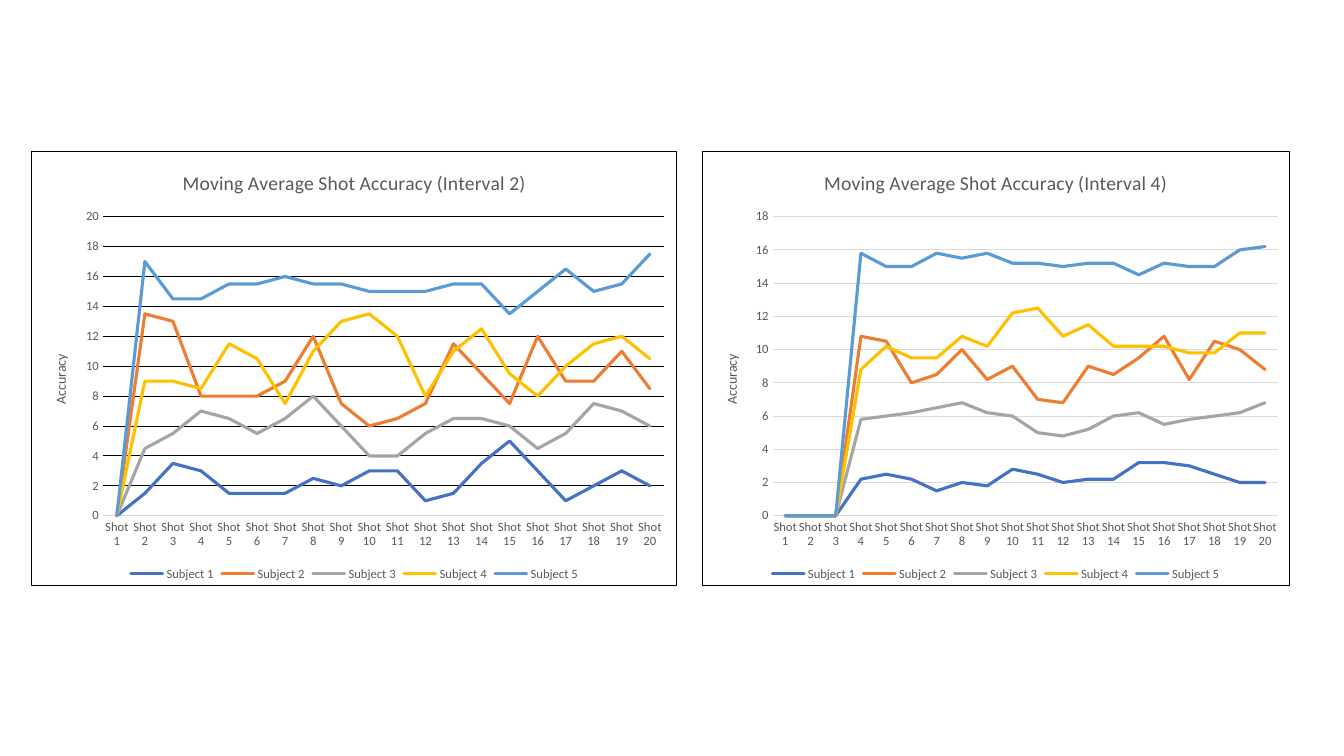
import dataclasses
import typing

import lxml.etree
import pptx
import pptx.chart.chart
import pptx.chart.data
import pptx.dml.color
import pptx.enum.chart
import pptx.oxml
import pptx.oxml.ns
import pptx.util

COLORS = {
    "text": "595959",
    "black": "000000",
    "light": "D9D9D9",
    "white": "FFFFFF",
}
SERIES_COLORS = {
    "Subject 1": "4472C4",
    "Subject 2": "ED7D31",
    "Subject 3": "A5A5A5",
    "Subject 4": "FFC000",
    "Subject 5": "5B9BD5",
}
FONT = "Calibri"
SHOTS = [f"Shot {n}" for n in range(1, 21)]
CHART_TOP, CHART_HEIGHT = 3.81, 10.95


@dataclasses.dataclass
class AccuracyChart:
    interval: int
    left: float
    width: float
    plot_x: float  # plot area, as a share of the chart width
    plot_w: float
    axis_max: int
    grid: str
    averages: list[list[float]]  # one list per subject, from the first full interval


CHARTS = [
    AccuracyChart(2, 0.79, 16.28, 0.11, 0.87, 20, "black", [
        [1.5, 3.5, 3, 1.5, 1.5, 1.5, 2.5, 2, 3, 3, 1, 1.5, 3.5, 5, 3, 1, 2, 3, 2],
        [13.5, 13, 8, 8, 8, 9, 12, 7.5, 6, 6.5, 7.5, 11.5, 9.5, 7.5, 12, 9, 9, 11, 8.5],
        [4.5, 5.5, 7, 6.5, 5.5, 6.5, 8, 6, 4, 4, 5.5, 6.5, 6.5, 6, 4.5, 5.5, 7.5, 7, 6],
        [9, 9, 8.5, 11.5, 10.5, 7.5, 11, 13, 13.5, 12, 8, 11, 12.5, 9.5, 8, 10, 11.5, 12, 10.5],
        [17, 14.5, 14.5, 15.5, 15.5, 16, 15.5, 15.5, 15, 15, 15, 15.5, 15.5, 13.5, 15, 16.5,
         15, 15.5, 17.5],
    ]),
    AccuracyChart(4, 17.68, 14.83, 0.12, 0.86, 18, "light", [
        [2.2, 2.5, 2.2, 1.5, 2, 1.8, 2.8, 2.5, 2, 2.2, 2.2, 3.2, 3.2, 3, 2.5, 2, 2],
        [10.8, 10.5, 8, 8.5, 10, 8.2, 9, 7, 6.8, 9, 8.5, 9.5, 10.8, 8.2, 10.5, 10, 8.8],
        [5.8, 6, 6.2, 6.5, 6.8, 6.2, 6, 5, 4.8, 5.2, 6, 6.2, 5.5, 5.8, 6, 6.2, 6.8],
        [8.8, 10.2, 9.5, 9.5, 10.8, 10.2, 12.2, 12.5, 10.8, 11.5, 10.2, 10.2, 10.2, 9.8, 9.8,
         11, 11],
        [15.8, 15, 15, 15.8, 15.5, 15.8, 15.2, 15.2, 15, 15.2, 15.2, 14.5, 15.2, 15, 15, 16, 16.2],
    ]),
]


def set_font(font: typing.Any, size: float) -> None:
    font.name = FONT
    font.size = pptx.util.Pt(size)
    font.bold = False
    font.color.rgb = pptx.dml.color.RGBColor.from_string(COLORS["text"])


def set_line(line: typing.Any, color: str, width: float) -> None:
    line.color.rgb = pptx.dml.color.RGBColor.from_string(color)
    line.width = pptx.util.Pt(width)


def add_title(owner: typing.Any, title: typing.Any, text: str, size: float) -> None:
    owner.has_title = True
    r = title().text_frame.paragraphs[0].add_run()
    r.text = text
    set_font(r.font, size)


def finish_xml(chart: pptx.chart.chart.Chart, spec_chart: AccuracyChart) -> None:
    space = chart._chartSpace
    # Missing averages are drawn as zero
    space.xpath("c:chart/c:dispBlanksAs")[0].set("val", "zero")

    # White background with a thin black border
    border = pptx.oxml.parse_xml(
        f'<c:spPr {pptx.oxml.ns.nsdecls("c", "a")}>'
        f'<a:solidFill><a:srgbClr val="{COLORS["white"]}"/></a:solidFill>'
        f'<a:ln w="9525"><a:solidFill><a:srgbClr val="{COLORS["black"]}"/></a:solidFill></a:ln>'
        "</c:spPr>")
    space.xpath("c:chart")[0].addnext(border)

    # Fixed inner plot area
    plot_area = space.xpath("c:chart/c:plotArea")[0]
    for old in plot_area.xpath("c:layout"):
        plot_area.remove(old)
    layout = lxml.etree.Element(pptx.oxml.ns.qn("c:layout"))
    manual = lxml.etree.SubElement(layout, pptx.oxml.ns.qn("c:manualLayout"))
    settings = {"layoutTarget": "inner", "xMode": "edge", "yMode": "edge",
                "x": spec_chart.plot_x, "y": 0.15, "w": spec_chart.plot_w, "h": 0.69}
    for tag, value in settings.items():
        lxml.etree.SubElement(manual, pptx.oxml.ns.qn(f"c:{tag}")).set("val", str(value))
    plot_area.insert(0, layout)

    # Rounded line ends
    for ln in space.xpath(".//c:ser/c:spPr/a:ln"):
        ln.set("cap", "rnd")


def add_accuracy_chart(s: typing.Any, item: AccuracyChart) -> None:
    data = pptx.chart.data.CategoryChartData()
    data.categories = SHOTS
    for name, values in zip(SERIES_COLORS, item.averages):
        data.add_series(name, [None] * (item.interval - 1) + values)
    chart = s.shapes.add_chart(
        pptx.enum.chart.XL_CHART_TYPE.LINE,
        pptx.util.Cm(item.left), pptx.util.Cm(CHART_TOP),
        pptx.util.Cm(item.width), pptx.util.Cm(CHART_HEIGHT), data).chart
    set_font(chart.font, 10)
    add_title(chart, lambda: chart.chart_title,
              f"Moving Average Shot Accuracy (Interval {item.interval})", 14)
    chart.chart_title.include_in_layout = False

    # Lines
    chart.plots[0].vary_by_categories = False
    for series in chart.plots[0].series:
        series.smooth = False
        set_line(series.format.line, SERIES_COLORS[series.name], 2.25)

    # Axes
    for axis in (chart.category_axis, chart.value_axis):
        axis.major_tick_mark = pptx.enum.chart.XL_TICK_MARK.NONE
        axis.minor_tick_mark = pptx.enum.chart.XL_TICK_MARK.NONE
        set_font(axis.tick_labels.font, 9)
    set_line(chart.category_axis.format.line, COLORS["light"], 0.75)
    value_axis = chart.value_axis
    value_axis.minimum_scale, value_axis.maximum_scale = 0, item.axis_max
    value_axis.major_unit = 2
    value_axis.format.line.fill.background()
    value_axis.has_major_gridlines = True
    set_line(value_axis.major_gridlines.format.line, COLORS[item.grid], 0.75)
    add_title(value_axis, lambda: value_axis.axis_title, "Accuracy", 10)

    # Legend
    chart.has_legend = True
    chart.legend.position = pptx.enum.chart.XL_LEGEND_POSITION.BOTTOM
    chart.legend.include_in_layout = False
    set_font(chart.legend.font, 9)

    finish_xml(chart, item)


def main() -> None:
    prs = pptx.Presentation()
    prs.slide_width, prs.slide_height = pptx.util.Cm(33.87), pptx.util.Cm(19.05)
    s = prs.slides.add_slide(prs.slide_layouts[6])
    for item in CHARTS:
        add_accuracy_chart(s, item)
    prs.save("out.pptx")


if __name__ == "__main__":
    main()
